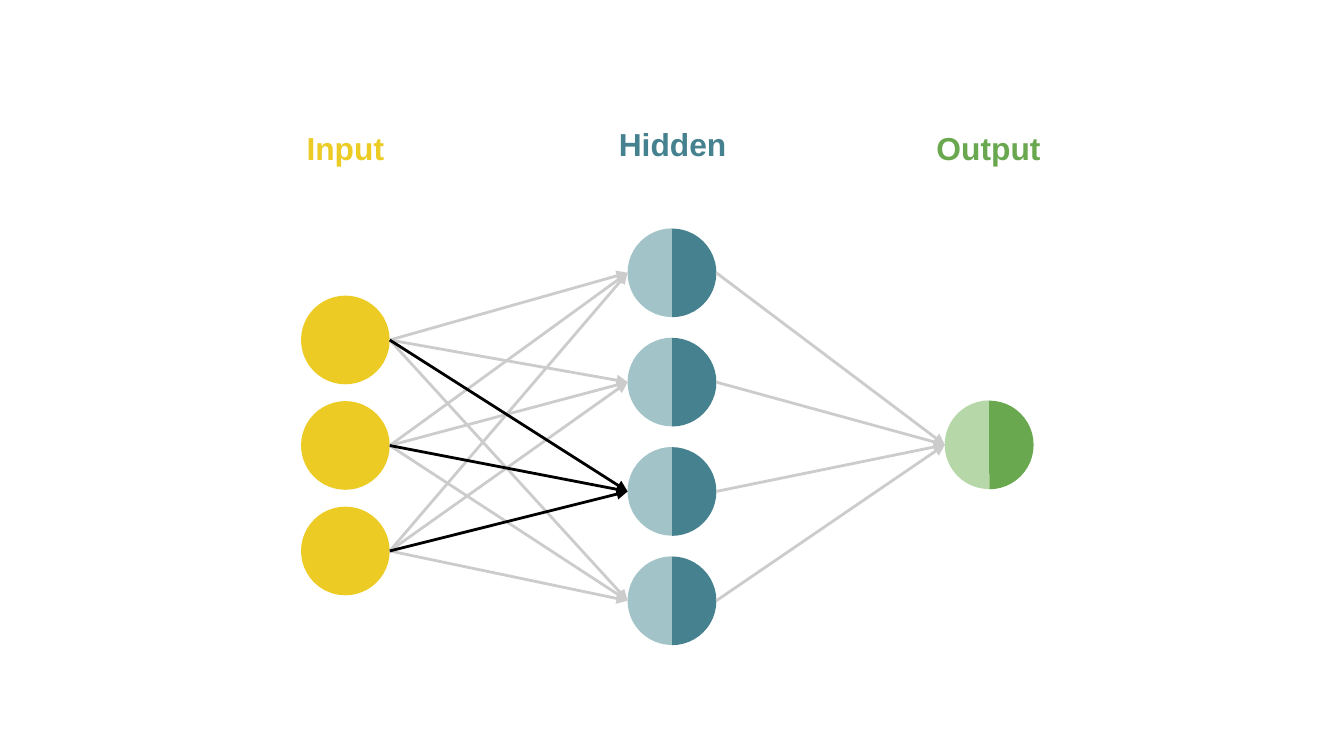
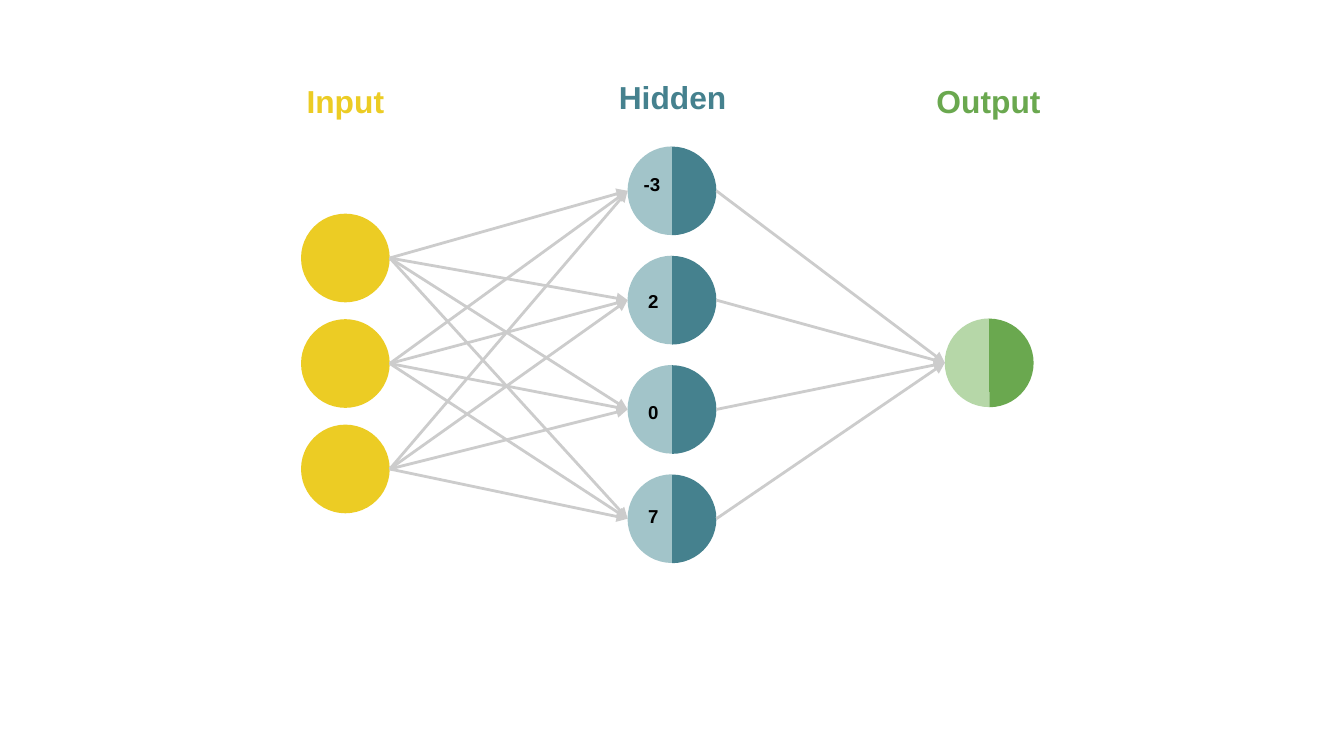
from itertools import product

from pptx import Presentation
from pptx.dml.color import RGBColor
from pptx.enum import shapes, text
from pptx.oxml import ns
from pptx.util import Inches, Pt
from lxml import etree

# Shared colours and font
YELLOW = RGBColor(0xEC, 0xCC, 0x24)
TEAL = RGBColor(0x45, 0x81, 0x8E)
PALE_TEAL = RGBColor(0xA2, 0xC4, 0xC9)
GREEN = RGBColor(0x6A, 0xA8, 0x4F)
PALE_GREEN = RGBColor(0xB6, 0xD7, 0xA8)
GRAY = RGBColor(0xCC, 0xCC, 0xCC)
BLACK = RGBColor(0, 0, 0)
FONT = "Arial"

# Shared geometry, in inches
NODE = 0.66
INPUT_X, HIDDEN_X, OUTPUT_X = 2.24, 4.67, 7.03
# Headings: wording, colour, left, drop below the highest one, width
HEADINGS = [
    ("Input", YELLOW, 2.1, 0.03, 0.94),
    ("Hidden", TEAL, 4.46, 0, 1.09),
    ("Output", GREEN, 6.81, 0.03, 1.09),
]


def spread(first, last, count):
    """Tops of evenly spaced nodes."""
    return [first + (last - first) * i / (count - 1) for i in range(count)]


def add_node(slide, preset, x, y, color):
    node = slide.shapes.add_shape(
        preset, Inches(x), Inches(y), Inches(NODE), Inches(NODE))
    node.shadow.inherit = False
    node.fill.solid()
    node.fill.fore_color.rgb = color
    node.line.fill.background()
    return node


def add_split_node(slide, x, y, left_color, right_color):
    for color, rotation in ((left_color, 0), (right_color, 180)):
        half = add_node(slide, shapes.MSO_SHAPE.PIE, x, y, color)
        half.adjustments[0] = 53.967  # about 90 degrees
        half.adjustments[1] = 162  # 270 degrees
        half.rotation = rotation


def add_weight(slide, from_x, from_top, to_x, to_top, color=GRAY):
    """Arrow from the right side of one node to the left side of another."""
    weight = slide.shapes.add_connector(
        shapes.MSO_CONNECTOR.STRAIGHT,
        Inches(from_x + NODE), Inches(from_top + NODE / 2),
        Inches(to_x), Inches(to_top + NODE / 2))
    weight.line.color.rgb = color
    weight.line.width = Pt(1.5)
    etree.SubElement(weight.line._get_or_add_ln(), ns.qn("a:tailEnd"),
                     type="triangle", w="med", len="med")
    etree.SubElement(weight._element.spPr, ns.qn("a:effectLst"))


def add_label(slide, wording, x, y, width, height, size, color, inset=None):
    label = slide.shapes.add_textbox(
        Inches(x), Inches(y), Inches(width), Inches(height))
    frame = label.text_frame
    frame.word_wrap = True
    frame.vertical_anchor = text.MSO_ANCHOR.TOP
    if inset is not None:
        frame.margin_left = frame.margin_right = Inches(inset)
        frame.margin_top = frame.margin_bottom = Inches(inset)
    frame.text = wording
    paragraph = frame.paragraphs[0]
    paragraph.alignment = text.PP_ALIGN.CENTER
    font = paragraph.runs[0].font
    font.name, font.size, font.bold = FONT, Pt(size), True
    font.color.rgb = color


def add_network(slide, top, headings_top, active=None, sums=()):
    """Draw the network; active is the hidden node whose inputs stand out."""
    inputs = spread(top + 0.5, top + 2.07, 3)
    hidden = spread(top, top + 2.44, 4)
    output = top + 1.28

    # Nodes
    for y in inputs:
        add_node(slide, shapes.MSO_SHAPE.OVAL, INPUT_X, y, YELLOW)
    for y in hidden:
        add_split_node(slide, HIDDEN_X, y, PALE_TEAL, TEAL)
    add_split_node(slide, OUTPUT_X, output, PALE_GREEN, GREEN)

    # Weights, with the highlighted ones in front
    pairs = product(inputs, range(len(hidden)))
    for y, target in sorted(pairs, key=lambda pair: pair[1] == active):
        color = BLACK if target == active else GRAY
        add_weight(slide, INPUT_X, y, HIDDEN_X, hidden[target], color)
    for y in hidden:
        add_weight(slide, HIDDEN_X, y, OUTPUT_X, output)

    # Weighted sums in the hidden nodes
    for wording, x, y in sums:
        add_label(slide, wording, x, y, 0.38, 0.27, 10, BLACK)

    # Layer headings
    for wording, color, x, drop, width in HEADINGS:
        add_label(slide, wording, x, headings_top + drop, width, 0.39,
                  17, color, inset=0.1)


def main():
    prs = Presentation()
    prs.slide_width = Inches(10)
    prs.slide_height = Inches(10 * 9 / 16)
    blank = prs.slide_layouts[6]

    # Slide 1: inputs of one hidden node
    add_network(prs.slides.add_slide(blank), 1.7, 0.83, active=2)

    # Slide 2: sums in the hidden layer
    sums = [("-3", 4.66, 1.24), ("2", HIDDEN_X, 2.11),
            ("0", HIDDEN_X, 2.93), ("7", HIDDEN_X, 3.71)]
    add_network(prs.slides.add_slide(blank), 1.09, 0.48, sums=sums)

    prs.save("out.pptx")


if __name__ == "__main__":
    main()
